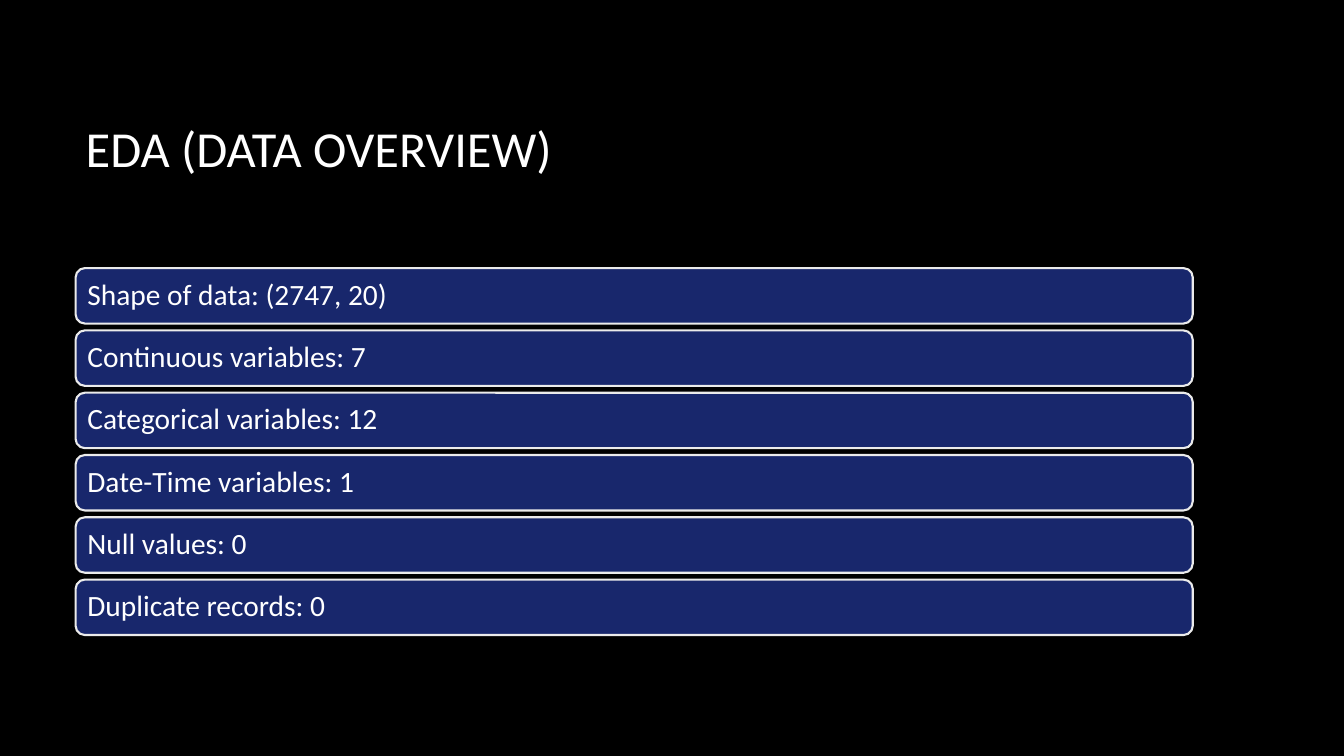
import pptx
import pptx.dml.color
import pptx.enum.shapes
import pptx.enum.text
import pptx.util

Inches = pptx.util.Inches
Pt = pptx.util.Pt

COLORS = {"background": "000000", "bar": "18276C", "outline": "EBEBEB", "text": "FFFFFF"}
FONT = "Calibri"
FACTS = [
    "Shape of data: (2747, 20)",
    "Continuous variables: 7",
    "Categorical variables: 12",
    "Date-Time variables: 1",
    "Null values: 0",
    "Duplicate records: 0",
]


def rgb(name):
    return pptx.dml.color.RGBColor.from_string(COLORS[name])


def write(shape, text, size, inset=0.1, line_spacing=1.0):
    frame = shape.text_frame
    frame.word_wrap = True
    frame.auto_size = pptx.enum.text.MSO_AUTO_SIZE.NONE
    frame.vertical_anchor = pptx.enum.text.MSO_ANCHOR.MIDDLE
    frame.margin_left = frame.margin_right = Inches(inset)
    frame.margin_top = frame.margin_bottom = Inches(0.05)
    paragraph = frame.paragraphs[0]
    paragraph.alignment = pptx.enum.text.PP_ALIGN.LEFT
    paragraph.line_spacing = line_spacing
    run = paragraph.add_run()
    run.text = text
    run.font.name = FONT
    run.font.size = Pt(size)
    run.font.color.rgb = rgb("text")


def place_title(slide, text, left, top, width, height):
    heading = slide.shapes.title
    heading.left, heading.top = Inches(left), Inches(top)
    heading.width, heading.height = Inches(width), Inches(height)
    write(heading, text, 36)


def stack_bars(slide, facts, left, top, width, height, bar_height=0.55):
    """Spread one rounded bar per fact evenly down the box."""
    pitch = (height - bar_height) / (len(facts) - 1)
    for row, fact in enumerate(facts):
        bar = slide.shapes.add_shape(
            pptx.enum.shapes.MSO_SHAPE.ROUNDED_RECTANGLE,
            Inches(left), Inches(top + row * pitch), Inches(width), Inches(bar_height))
        bar.shadow.inherit = False
        bar.fill.solid()
        bar.fill.fore_color.rgb = rgb("bar")
        bar.line.color.rgb = rgb("outline")
        bar.line.width = Pt(1.5)
        write(bar, fact, 21, inset=0.09, line_spacing=0.9)


def main():
    deck = pptx.Presentation()
    deck.slide_width, deck.slide_height = Inches(13.33), Inches(7.5)
    slide = deck.slides.add_slide(deck.slide_layouts[5])
    slide.background.fill.solid()
    slide.background.fill.fore_color.rgb = rgb("background")
    place_title(slide, "EDA (DATA OVERVIEW)", 0.75, 0.67, 11.08, 1.59)
    stack_bars(slide, FACTS, 0.75, 2.66, 11.08, 3.64)
    deck.save("out.pptx")


if __name__ == "__main__":
    main()
